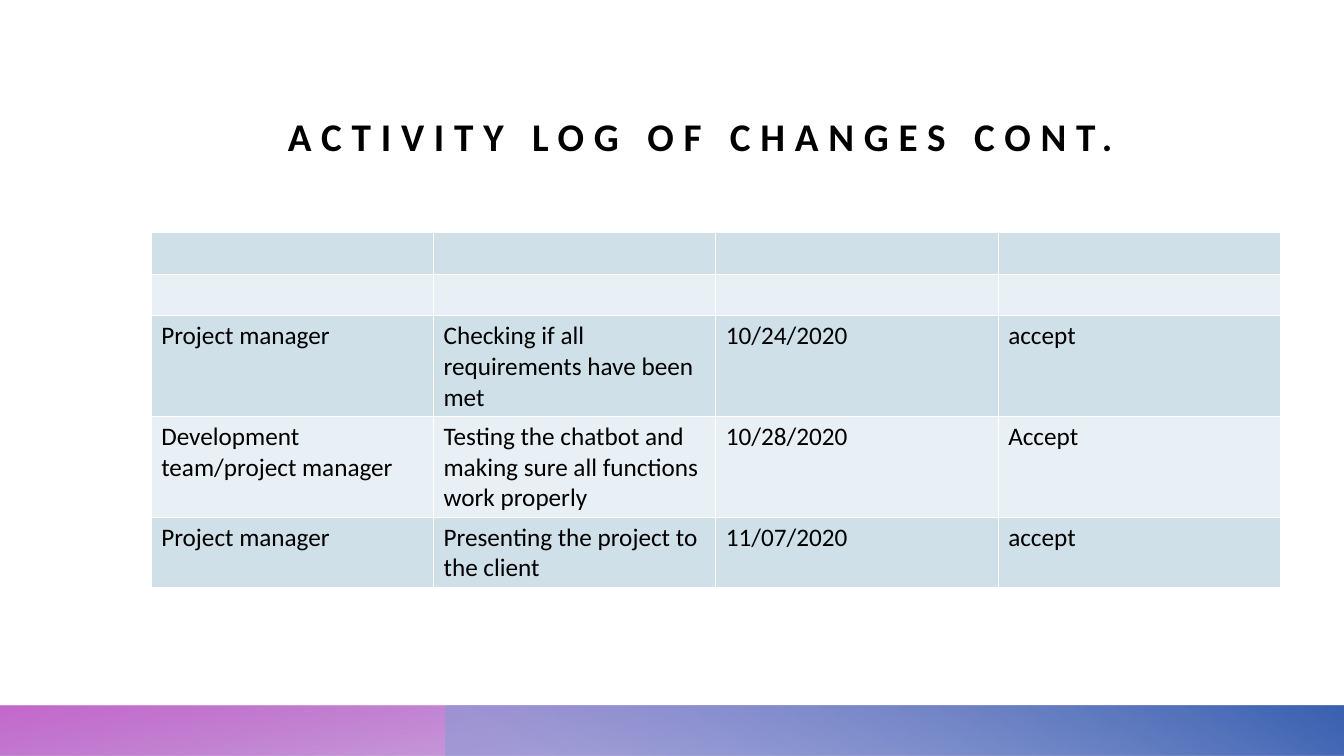
import pptx
import pptx.dml.color
import pptx.enum.shapes
import pptx.enum.text
import pptx.oxml.ns
import pptx.util
from lxml import etree

COLORS = {
    "text": "000000",
    "row_dark": "D0E0E9",
    "row_light": "E9F0F5",
    "violet": "783BB1",
    "pink": "BB4DC3",
    "sky": "849ED6",
    "blue": "3B61B1",
}
FONT = "Calibri"
SLIDE_WIDTH = pptx.util.Inches(13.33)
SLIDE_HEIGHT = pptx.util.Inches(7.5)
ROW_HEIGHT = pptx.util.Inches(0.41)

LOG_COLUMNS = 4
LOG_ROWS = [
    [""] * LOG_COLUMNS,
    [""] * LOG_COLUMNS,
    ["Project manager", "Checking if all requirements have been met", "10/24/2020", "accept"],
    ["Development team/project manager",
     "Testing the chatbot and making sure all functions work properly", "10/28/2020", "Accept"],
    ["Project manager", "Presenting the project to the client", "11/07/2020", "accept"],
]


def rgb(name):
    return pptx.dml.color.RGBColor.from_string(COLORS[name])


def box(left, top, width, height):
    """Turn inches into a tuple of slide lengths."""
    return tuple(pptx.util.Inches(length) for length in (left, top, width, height))


def add_run(paragraph, text, size, bold=False):
    run = paragraph.add_run()
    run.text = text
    run.font.name = FONT
    run.font.size = pptx.util.Pt(size)
    run.font.bold = bold
    run.font.color.rgb = rgb("text")
    return run


def add_footer_band(slide, area, angle, stops):
    """Draw a gradient band; stops are (position, color name, opacity in percent)."""
    band = slide.shapes.add_shape(pptx.enum.shapes.MSO_SHAPE.RECTANGLE, *area)
    band.shadow.inherit = False
    band.line.fill.background()
    band.fill.gradient()
    band.fill.gradient_angle = angle
    for stop, (position, color, opacity) in zip(band.fill.gradient_stops, stops):
        stop.position = position
        stop.color.rgb = rgb(color)
    color_tags = band.fill._xPr.iter(pptx.oxml.ns.qn("a:srgbClr"))
    for color_tag, (position, color, opacity) in zip(color_tags, stops):
        alpha = etree.SubElement(color_tag, pptx.oxml.ns.qn("a:alpha"))
        alpha.set("val", str(opacity * 1000))


def add_title(slide, area, text):
    frame = slide.shapes.add_textbox(*area).text_frame
    frame.word_wrap = True
    frame.vertical_anchor = pptx.enum.text.MSO_ANCHOR.BOTTOM
    frame.margin_left = frame.margin_right = frame.margin_top = frame.margin_bottom = 0
    heading = frame.paragraphs[0]
    heading.alignment = pptx.enum.text.PP_ALIGN.CENTER
    run = add_run(heading, text, 28, bold=True)
    run.font._element.set("spc", "700")


def add_activity_log(slide, area):
    left, top, width, height = area
    log = slide.shapes.add_table(len(LOG_ROWS), LOG_COLUMNS, left, top, width, height).table
    for column in log.columns:
        column.width = width // LOG_COLUMNS
    for index, entries in enumerate(LOG_ROWS):
        log.rows[index].height = ROW_HEIGHT
        for cell, entry in zip(log.rows[index].cells, entries):
            cell.fill.solid()
            cell.fill.fore_color.rgb = rgb("row_light" if index % 2 else "row_dark")
            if entry:
                add_run(cell.text_frame.paragraphs[0], entry, 18)


def main():
    deck = pptx.Presentation()
    deck.slide_width = SLIDE_WIDTH
    deck.slide_height = SLIDE_HEIGHT
    slide = deck.slides.add_slide(deck.slide_layouts[6])
    add_footer_band(slide, box(0, 7, 13.33, 0.5), 100,
                    [(0.14, "violet", 28), (1, "pink", 85)])
    add_footer_band(slide, box(4.42, 7, 8.91, 0.5), 60,
                    [(0.09, "sky", 55), (0.99, "blue", 100)])
    add_title(slide, box(1.35, 0.23, 11.2, 1.35), "ACTIVITY LOG OF CHANGES CONT.")
    add_activity_log(slide, box(1.5, 2.31, 11.2, 0.41 * len(LOG_ROWS)))
    deck.save("out.pptx")


if __name__ == "__main__":
    main()
